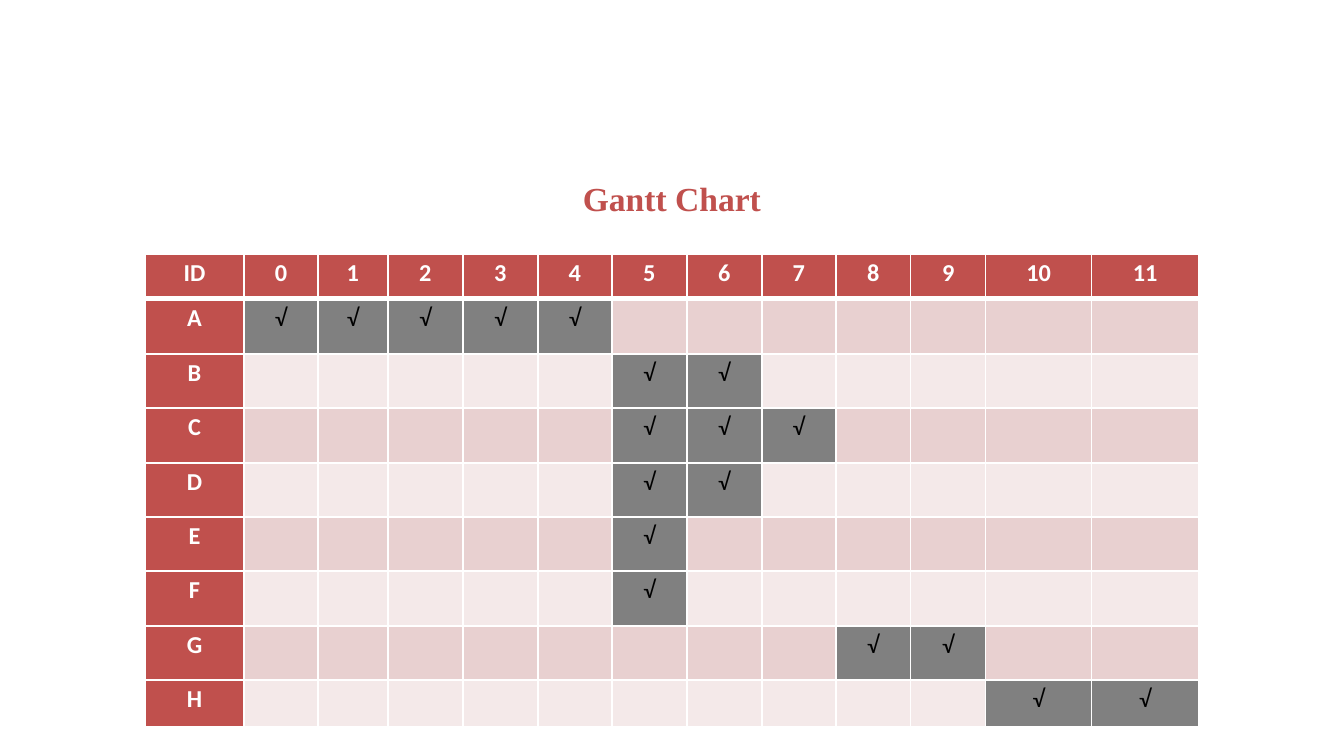
from dataclasses import dataclass
from itertools import pairwise
from lxml.etree import SubElement
from pptx import Presentation
from pptx.dml.color import RGBColor
from pptx.enum.text import MSO_ANCHOR, MSO_AUTO_SIZE, PP_ALIGN
from pptx.oxml.ns import qn
from pptx.util import Pt

SCALE = 914400 / 134.4
RED, GREY, WHITE, BLACK = "C0504D", "808080", "FFFFFF", "000000"
BANDS = "E8D0D0", "F4E9E9"


@dataclass
class Task:
    name: str
    start: int
    end: int


TASKS = [
    Task("A", 0, 4), Task("B", 5, 6), Task("C", 5, 7), Task("D", 5, 6),
    Task("E", 5, 5), Task("F", 5, 5), Task("G", 8, 9), Task("H", 10, 11),
]
WIDTHS = [99, 74, 70, 75, 75, 74, 75, 75, 74, 75, 75, 106, 107]
EDGES = [254] + [round(299.4 + 54.4 * i) for i in range(len(TASKS))] + [727]


def px(value: int) -> int:
    return round(value * SCALE)


def color(code: str) -> RGBColor:
    return RGBColor.from_string(code)


def write(frame, text: str, font: str, size: int, ink: str, bold: bool) -> None:
    para = frame.paragraphs[0]
    para.alignment = PP_ALIGN.CENTER
    para.line_spacing = 1.15
    run = para.add_run()
    run.text = text
    run.font.name = font
    run.font.size = Pt(size)
    run.font.bold = bold
    run.font.color.rgb = color(ink)


def border(cell, top: int, bottom: int) -> None:
    props = cell._tc.get_or_add_tcPr()
    sides = {"lnL": 1, "lnR": 1, "lnT": top, "lnB": bottom}
    for spot, (side, width) in enumerate(sides.items()):
        line = SubElement(props, qn("a:" + side), w=str(Pt(width)))
        fill = SubElement(line, qn("a:solidFill"))
        SubElement(fill, qn("a:srgbClr"), val=WHITE)
        props.insert(spot, line)


def paint(cell, row: int, text: str, fill: str, ink: str, bold: bool) -> None:
    cell.margin_left = cell.margin_right = px(8)
    cell.margin_top = cell.margin_bottom = 0
    cell.fill.solid()
    cell.fill.fore_color.rgb = color(fill)
    border(cell, 3 if row == 1 else 1, 3 if row == 0 else 1)
    if text:
        write(cell.text_frame, text, "Calibri", 13, ink, bold)


deck = Presentation()
deck.slide_width, deck.slide_height = px(1344), px(756)
slide = deck.slides.add_slide(deck.slide_layouts[5])

# Title
title = slide.shapes.title
title.left, title.top, title.width, title.height = 0, px(165), px(1344), px(89)
frame = title.text_frame
frame.word_wrap = True
frame.auto_size = MSO_AUTO_SIZE.NONE
frame.vertical_anchor = MSO_ANCHOR.TOP
write(frame, "Gantt Chart", "Times New Roman", 18, RED, True)

# Table grid
table = slide.shapes.add_table(
    len(TASKS) + 1, len(WIDTHS), px(145), px(EDGES[0]),
    px(sum(WIDTHS)), px(EDGES[-1] - EDGES[0])).table
for column, width in zip(table.columns, WIDTHS):
    column.width = px(width)
for line, (top, end) in zip(table.rows, pairwise(EDGES)):
    line.height = px(end - top)

# Header row
for col in range(len(WIDTHS)):
    label = str(col - 1) if col else "ID"
    paint(table.cell(0, col), 0, label, RED, WHITE, True)

# Task rows
for row, task in enumerate(TASKS, 1):
    paint(table.cell(row, 0), row, task.name, RED, WHITE, True)
    for col in range(1, len(WIDTHS)):
        busy = task.start <= col - 1 <= task.end
        fill = GREY if busy else BANDS[(row - 1) % 2]
        paint(table.cell(row, col), row, "√" if busy else "", fill, BLACK, False)

deck.save("out.pptx")
